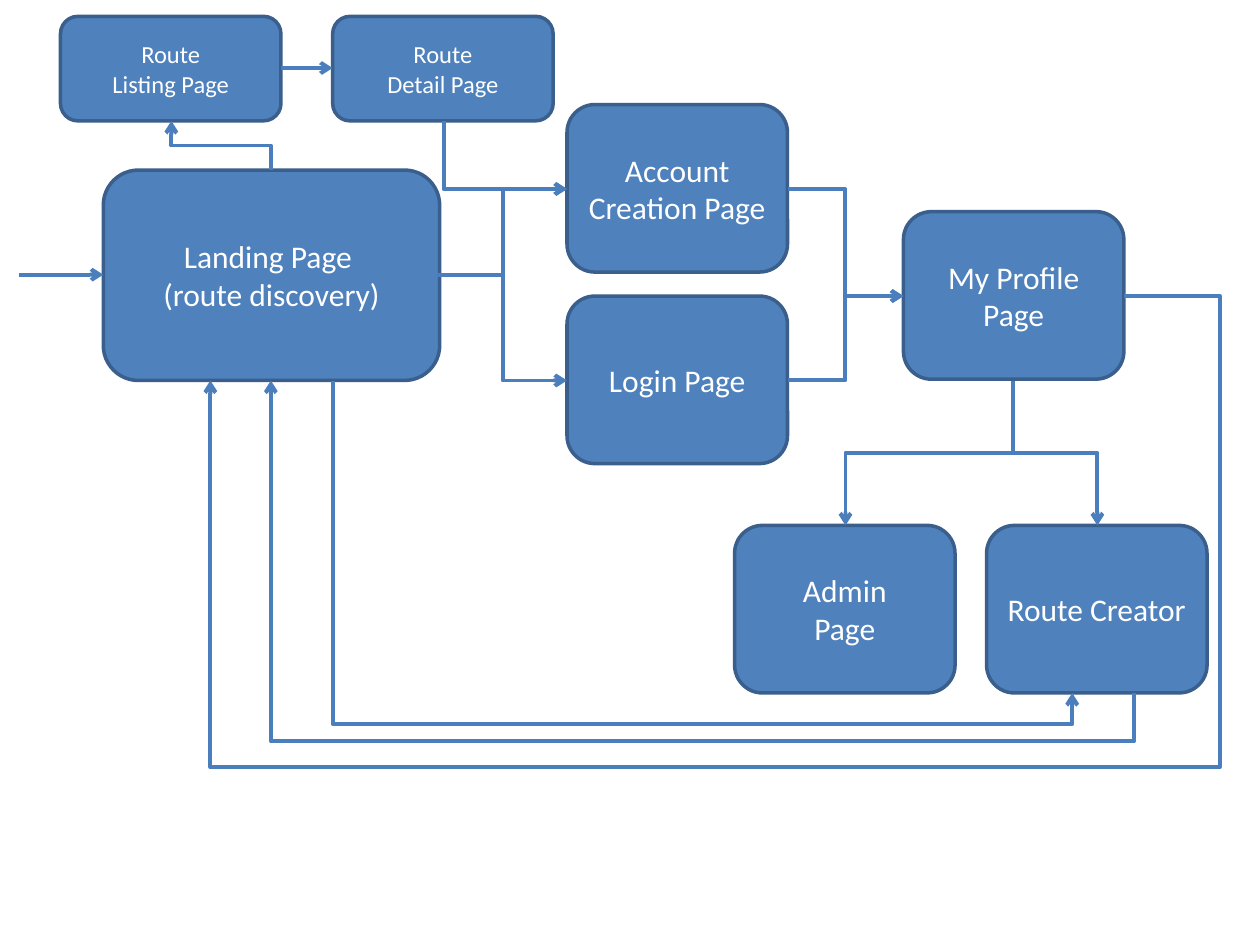
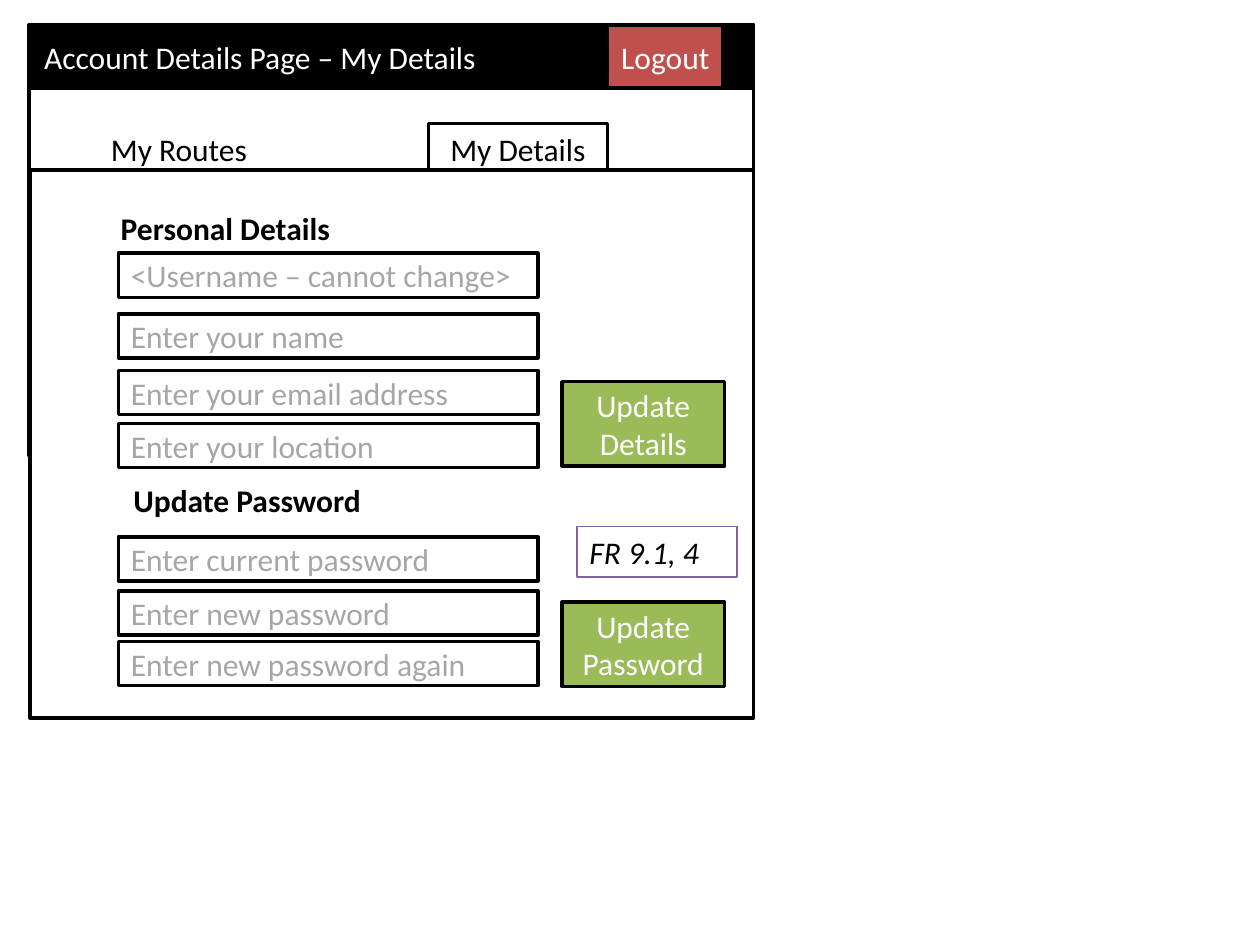
from lxml import etree
from pptx import Presentation
from pptx import util as u
from pptx.dml.color import RGBColor
from pptx.enum import shapes, text
from pptx.oxml.ns import qn

BLACK, WHITE, GREY = "000000", "FFFFFF", "A6A6A6"
BLUE, BLUE_EDGE, FLOW = "4F81BD", "3A5F8C", "4B7EBC"
RED, GREEN, PURPLE = "C0504D", "9BBB59", "8064A2"
RECT = shapes.MSO_SHAPE.RECTANGLE
ROUNDED = shapes.MSO_SHAPE.ROUNDED_RECTANGLE
LEFT, CENTER = text.PP_ALIGN.LEFT, text.PP_ALIGN.CENTER
colour = RGBColor.from_string


def add_box(slide, preset, bounds, words="", fill=WHITE, edge=BLACK, edge_width=2,
            ink=BLACK, size=18, align=CENTER, bold=False, italic=False):
    bounds = [u.Inches(length) for length in bounds]
    if preset is None:
        box = slide.shapes.add_textbox(*bounds)
    else:
        box = slide.shapes.add_shape(preset, *bounds)
        box.shadow.inherit = False
        box.fill.solid()
        box.fill.fore_color.rgb = colour(fill)
        box.line.color.rgb = colour(edge)
        box.line.width = u.Pt(edge_width)
    frame = box.text_frame
    frame.word_wrap = True
    frame.vertical_anchor = text.MSO_ANCHOR.MIDDLE
    frame.text = words
    for paragraph in frame.paragraphs:
        paragraph.alignment = align
        for run in paragraph.runs:
            run.font.name = "Calibri"
            run.font.size = u.Pt(size)
            run.font.bold = bold
            run.font.italic = italic
            run.font.color.rgb = colour(ink)


def add_flow(slide, start, end, bends=3, turn=0, adjust=()):
    mid_x, mid_y = (start[0] + end[0]) / 2, (start[1] + end[1]) / 2
    dx, dy = start[0] - mid_x, start[1] - mid_y
    dx, dy = {0: (dx, dy), 90: (dy, -dx), 270: (-dy, dx)}[turn]
    kind = shapes.MSO_CONNECTOR.ELBOW if bends else shapes.MSO_CONNECTOR.STRAIGHT
    corners = (mid_x + dx, mid_y + dy, mid_x - dx, mid_y - dy)
    arrow = slide.shapes.add_connector(kind, *[u.Inches(c) for c in corners])
    arrow.line.color.rgb = colour(FLOW)
    arrow.line.width = u.Pt(2.25)
    props = arrow._element.spPr
    if turn:
        props.find(qn("a:xfrm")).set("rot", str(turn * 60000))
    if bends:
        geometry = props.find(qn("a:prstGeom"))
        geometry.set("prst", f"bentConnector{bends}")
        guides = geometry.find(qn("a:avLst"))
        for number, share in enumerate(adjust, 1):
            name = f"adj{number}" if len(adjust) > 1 or bends > 3 else "adj1"
            etree.SubElement(guides, qn("a:gd"), name=name, fmla=f"val {round(share * 100000)}")
    etree.SubElement(props.find(qn("a:ln")), qn("a:tailEnd"), type="arrow")
    etree.SubElement(props, qn("a:effectLst"))


deck = Presentation()
deck.slide_width, deck.slide_height = u.Inches(10), u.Inches(7.5)

site_map = deck.slides.add_slide(deck.slide_layouts[6])
pages = [
    (4.5, 2.35, 1.75, 1.33, "Login Page", 18),
    (7.17, 1.68, 1.75, 1.33, "My Profile Page", 18),
    (4.5, 0.83, 1.75, 1.33, "Account Creation Page", 18),
    (7.83, 4.17, 1.75, 1.33, "Route Creator", 18),
    (5.83, 4.17, 1.75, 1.33, "Admin\nPage", 18),
    (0.82, 1.35, 2.67, 1.67, "Landing Page \n(route discovery)", 18),
    (0.48, 0.13, 1.75, 0.83, "Route\nListing Page", 14),
    (2.64, 0.13, 1.75, 0.83, "Route\nDetail Page", 14),
]
for *bounds, words, size in pages:
    add_box(site_map, ROUNDED, bounds, words, BLUE, BLUE_EDGE, ink=WHITE, size=size)

landing_exit, profile_entry, profile_exit = (3.48, 2.18), (7.17, 2.35), (8.04, 3.02)
account_entry = (4.5, 1.5)
add_flow(site_map, (0.15, 2.18), (0.82, 2.18), bends=0)
add_flow(site_map, (2.23, 0.54), (2.64, 0.54), bends=0)
add_flow(site_map, landing_exit, account_entry)
add_flow(site_map, landing_exit, (4.5, 3.02))
add_flow(site_map, (6.25, 1.5), profile_entry)
add_flow(site_map, (6.25, 3.02), profile_entry)
add_flow(site_map, (8.92, 2.35), (1.67, 3.02), bends=4, adjust=(-0.105, 5.578))
add_flow(site_map, profile_exit, (6.71, 4.17), turn=90)
add_flow(site_map, profile_exit, (8.71, 4.17), turn=270)
add_flow(site_map, (2.15, 1.35), (1.36, 0.96), turn=270)
add_flow(site_map, (2.64, 3.02), (8.51, 5.5), turn=270, adjust=(1.1,))
add_flow(site_map, (9, 5.5), (2.15, 3.02), turn=90, adjust=(-0.155,))
add_flow(site_map, (3.52, 0.96), account_entry, bends=2, turn=270)

details = deck.slides.add_slide(deck.slide_layouts[5])
details_tab = (3.4, 0.98, 1.42, 0.4)
for panel in [(0.23, 0.2, 5.75, 3.42), details_tab, (0.24, 1.35, 5.74, 4.35)]:
    add_box(details, RECT, panel)
add_box(details, RECT, (0.23, 0.2, 5.75, 0.5), fill=BLACK)
add_box(details, RECT, (4.82, 0.2, 0.92, 0.5), "Logout", RED, ink=WHITE)

add_box(details, None, details_tab, "My Details")
add_box(details, None, (0.78, 0.98, 1.28, 0.4), "My Routes")
add_box(details, None, (0.86, 1.61, 2.33, 0.4), "Personal Details", align=LEFT, bold=True)
add_box(details, None, (0.96, 3.77, 2.08, 0.4), "Update Password", align=LEFT, bold=True)
add_box(details, RECT, (4.58, 4.18, 1.27, 0.4), "FR 9.1, 4", edge=PURPLE,
        edge_width=0.75, align=LEFT, italic=True)

fields = [
    (2.01, "<Username – cannot change>"),
    (2.49, "Enter your name"),
    (2.94, "Enter your email address"),
    (3.36, "Enter your location"),
    (4.26, "Enter current password"),
    (4.69, "Enter new password"),
    (5.09, "Enter new password again"),
]
for top, prompt in fields:
    add_box(details, RECT, (0.94, top, 3.33, 0.35), prompt, ink=GREY, align=LEFT)
for top, action in [(3.03, "Update Details"), (4.78, "Update Password")]:
    add_box(details, RECT, (4.46, top, 1.29, 0.67), action, GREEN, ink=WHITE)

heading = details.shapes.title
heading.left, heading.top = u.Inches(0.25), u.Inches(0.25)
heading.width, heading.height = u.Inches(4.72), u.Inches(0.4)
heading.text_frame.text = "Account Details Page – My Details"
heading.text_frame.vertical_anchor = text.MSO_ANCHOR.MIDDLE
heading.text_frame.auto_size = text.MSO_AUTO_SIZE.NONE
heading_line = heading.text_frame.paragraphs[0]
heading_line.alignment = LEFT
heading_font = heading_line.runs[0].font
heading_font.name, heading_font.size = "Calibri", u.Pt(18)
heading_font.color.rgb = colour(WHITE)
details.shapes._spTree.append(heading._element)

deck.save("out.pptx")
